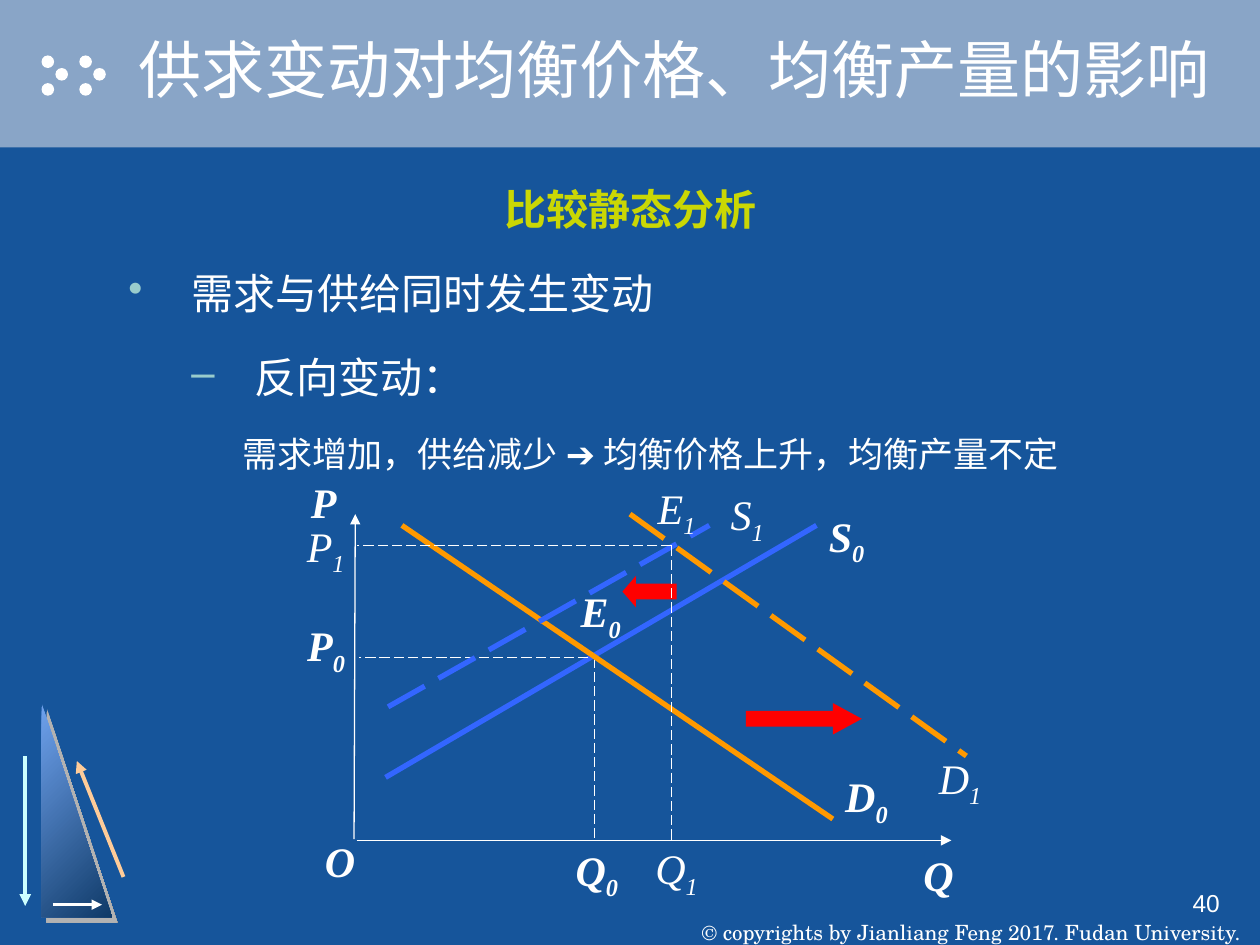
from dataclasses import dataclass

from lxml import etree
from pptx import Presentation, util as u
from pptx.dml.color import RGBColor
from pptx.enum import dml, shapes, text
from pptx.oxml.ns import qn

COLORS = {
    "page": "16559B", "band": "89A5C7", "white": "FFFFFF", "heading": "CAD704",
    "bullet": "99CCCC", "supply": "3366FF", "demand": "FF9900", "shift": "FF0000",
    "light": "6FA2ED", "deep": "0F3A68", "shade": "B2B2B2", "ink": "1A1040",
    "cyan": "CCFFFF", "peach": "FFCC99",
}
CJK, SERIF, SANS = "Noto Sans CJK SC", "Times New Roman", "Arial"
SCHOLA = "TeX Gyre Schola"
LEFT, CENTER = text.PP_ALIGN.LEFT, text.PP_ALIGN.CENTER
RIGHT, JUSTIFY = text.PP_ALIGN.RIGHT, text.PP_ALIGN.JUSTIFY
TOP, MIDDLE, BOTTOM = text.MSO_ANCHOR.TOP, text.MSO_ANCHOR.MIDDLE, text.MSO_ANCHOR.BOTTOM


@dataclass
class Stroke:
    start: tuple[float, float]
    end: tuple[float, float]
    color: str = "white"
    width: float = 0.75
    dashed: bool = False
    arrow: bool = False


@dataclass
class Label:
    letter: str
    sub: str
    box: tuple[float, float, float]
    initial: bool = True


@dataclass
class Line:
    words: str
    color: str
    align: int
    bold: bool = False
    bullet: str = ""
    margin: float = 0.5
    before: float = 13.5


def rgb(name: str) -> RGBColor:
    return RGBColor.from_string(COLORS[name])


def add_shadow(parent, color: str, distance: float) -> None:
    effects = parent.makeelement(qn("a:effectLst"), {})
    shadow = etree.SubElement(effects, qn("a:outerShdw"),
                              dist=str(int(u.Pt(distance))), dir="2700000", algn="ctr", rotWithShape="0")
    etree.SubElement(shadow, qn("a:srgbClr"), val=COLORS[color])
    fill = parent.find(qn("a:solidFill"))
    if fill is not None:
        fill.addnext(effects)
    else:
        parent.append(effects)


def add_solid(slide, kind, left, top, width, height, color: str):
    shape = slide.shapes.add_shape(kind, *map(u.Inches, (left, top, width, height)))
    shape.shadow.inherit = False
    shape.fill.solid()
    shape.fill.fore_color.rgb = rgb(color)
    shape.line.fill.background()
    return shape


def add_stroke(slide, stroke: Stroke) -> None:
    line = slide.shapes.add_connector(shapes.MSO_CONNECTOR.STRAIGHT,
                                      *map(u.Inches, stroke.start + stroke.end))
    line.line.color.rgb = rgb(stroke.color)
    line.line.width = u.Pt(stroke.width)
    if stroke.dashed:
        line.line.dash_style = dml.MSO_LINE.LONG_DASH
    properties = line._element.spPr
    if stroke.arrow:
        etree.SubElement(properties.find(qn("a:ln")), qn("a:tailEnd"), type="triangle")
    etree.SubElement(properties, qn("a:effectLst"))


def add_frame(slide, left, top, width, height, anchor=TOP, wrap=True, inset=0.05):
    frame = slide.shapes.add_textbox(*map(u.Inches, (left, top, width, height))).text_frame
    frame.word_wrap = wrap
    frame.vertical_anchor = anchor
    frame.margin_left = frame.margin_right = u.Inches(0.1)
    frame.margin_top = frame.margin_bottom = u.Inches(inset)
    return frame


def add_run(paragraph, words: str, size: float, font: str, color="white", bold=False, italic=False):
    run = paragraph.add_run()
    run.text = words
    run.font.size, run.font.name = u.Pt(size), font
    run.font.bold, run.font.italic = bold, italic
    run.font.color.rgb = rgb(color)
    etree.SubElement(run.font._element, qn("a:ea"), typeface=CJK)
    return run


def add_label(slide, label: Label) -> None:
    height = 0.56 if label.sub else 0.5
    paragraph = add_frame(slide, *label.box, height, wrap=False).paragraphs[0]
    paragraph.alignment = LEFT if label.initial else CENTER
    add_run(paragraph, label.letter, 24, SERIF, bold=label.initial, italic=True)
    if label.sub:
        sub = add_run(paragraph, label.sub, 24, SERIF, bold=label.initial, italic=True)
        sub.font._element.set("baseline", "-25000")


def add_outline(frame, lines: list[Line]) -> None:
    for index, line in enumerate(lines):
        paragraph = frame.add_paragraph() if index else frame.paragraphs[0]
        paragraph.alignment, paragraph.line_spacing = line.align, 1.2
        paragraph.space_before = u.Pt(line.before if index else 0)
        if line.bullet:
            properties = paragraph._p.get_or_add_pPr()
            properties.set("marL", str(u.Inches(line.margin)))
            properties.set("indent", str(u.Inches(-0.5)))
            color = etree.SubElement(properties, qn("a:buClr"))
            etree.SubElement(color, qn("a:srgbClr"), val=COLORS["bullet"])
            etree.SubElement(properties, qn("a:buChar"), char=line.bullet)
        add_run(paragraph, line.words, 24, CJK, line.color, line.bold)


OUTLINE = [
    Line("比较静态分析", "heading", CENTER, bold=True),
    Line("需求与供给同时发生变动", "white", JUSTIFY, bullet="•"),
    Line("反向变动：", "white", JUSTIFY, bullet="–", margin=1),
]
EMBLEM_ARROWS = [
    Stroke((0.2, 6), (0.2, 7.19), "cyan", 2.25, arrow=True),
    Stroke((0.98, 6.96), (0.61, 6.04), "peach", 2.25, arrow=True),
    Stroke((0.42, 7.18), (0.81, 7.18), "white", 1.5, arrow=True),
]
INITIAL_CURVES = [
    Stroke((3.06, 6.17), (6.48, 4.17), "supply", 3),
    Stroke((2.81, 6.66), (2.82, 4.08), arrow=True),
    Stroke((2.83, 6.67), (7.55, 6.67), arrow=True),
    Stroke((4.72, 5.22), (4.72, 6.66), dashed=True),
    Stroke((4.67, 5.22), (2.85, 5.22), dashed=True),
    Stroke((3.19, 4.17), (6.61, 6.5), "demand", 3),
]
SHIFTED_CURVES = [
    Stroke((3.08, 5.61), (5.63, 4.17), "supply", 3, dashed=True),
    Stroke((5, 4.08), (7.67, 6), "demand", 3, dashed=True),
    Stroke((5.33, 4.33), (5.33, 6.67), dashed=True),
    Stroke((5.33, 4.33), (2.83, 4.33), dashed=True),
]
LABELS = [
    Label("P", "", (2.37, 3.73, 0.5)), Label("O", "", (2.48, 6.58, 0.44)),
    Label("Q", "", (7.23, 6.69, 0.5)),
    Label("S", "0", (6.48, 4, 0.5)), Label("D", "0", (6.61, 6.07, 0.58)),
    Label("E", "0", (4.51, 4.6, 0.52)), Label("Q", "0", (4.47, 6.65, 0.56)),
    Label("P", "0", (2.34, 4.87, 0.5)),
    Label("E", "1", (5.08, 3.78, 0.58), False), Label("S", "1", (5.68, 3.83, 0.5), False),
    Label("Q", "1", (5.08, 6.64, 0.58), False), Label("P", "1", (2.25, 4.08, 0.67), False),
    Label("D", "1", (7.33, 5.92, 0.58), False),
]


def main() -> None:
    deck = Presentation()
    deck.slide_width, deck.slide_height = u.Inches(10), u.Inches(7.5)
    slide = deck.slides.add_slide(deck.slide_layouts[6])
    slide.background.fill.solid()
    slide.background.fill.fore_color.rgb = rgb("page")
    kinds = shapes.MSO_SHAPE

    # Title band with two chevrons of dots
    add_solid(slide, kinds.RECTANGLE, 0, 0, 10, 1.17, "band")
    for left in (0.33, 0.63):
        for dx, top in ((0, 0.44), (0.11, 0.54), (0, 0.66)):
            add_solid(slide, kinds.OVAL, left + dx, top, 0.1, 0.1, "white")
    title = add_frame(slide, 1, 0, 9, 1.08, MIDDLE).paragraphs[0]
    heading = add_run(title, "供求变动对均衡价格、均衡产量的影响", 36, SANS)
    add_shadow(heading.font._element, "ink", 2)

    # Triangle emblem
    triangle = add_solid(slide, kinds.RIGHT_TRIANGLE, 0.33, 5.58, 0.56, 1.7, "light")
    triangle.fill.gradient()
    triangle.fill.gradient_angle = 315
    for stop, color in zip(triangle.fill.gradient_stops, ("light", "deep")):
        stop.color.rgb = rgb(color)
    properties = triangle._element.spPr
    properties.remove(properties.find(qn("a:effectLst")))
    add_shadow(properties, "shade", 4.2)
    for stroke in EMBLEM_ARROWS:
        add_stroke(slide, stroke)

    # Footer
    footer = add_frame(slide, 5.42, 7, 4.58, 0.5, BOTTOM, wrap=False, inset=0).paragraphs[0]
    footer.alignment = CENTER
    add_run(footer, "© copyrights by Jianliang Feng 2017. Fudan University.", 12, SCHOLA)
    number = add_frame(slide, 7.75, 7, 2.03, 0.5).paragraphs[0]
    number.alignment = RIGHT
    add_run(number, "40", 14, SANS)

    # Outline and conclusion
    add_outline(add_frame(slide, 0.92, 1.33, 8.17, 2), OUTLINE)
    conclusion = add_frame(slide, 1.08, 3.32, 8.17, 0.67).paragraphs[0]
    conclusion.alignment, conclusion.line_spacing = CENTER, 1.2
    for words, font in (("需求增加，供给减少 ", SERIF), ("➔", SANS), (" 均衡价格上升，均衡产量不定", SERIF)):
        add_run(conclusion, words, 20, font)

    # Supply and demand diagram
    for stroke in INITIAL_CURVES:
        add_stroke(slide, stroke)
    for kind, box, head in ((kinds.LEFT_ARROW, (4.94, 4.57, 0.43, 0.25), 0.43),
                            (kinds.RIGHT_ARROW, (5.92, 5.58, 0.92, 0.25), 0.92)):
        add_solid(slide, kind, *box, "shift").adjustments[1] = head
    for stroke in SHIFTED_CURVES:
        add_stroke(slide, stroke)
    for label in LABELS:
        add_label(slide, label)

    deck.save("out.pptx")


if __name__ == "__main__":
    main()
